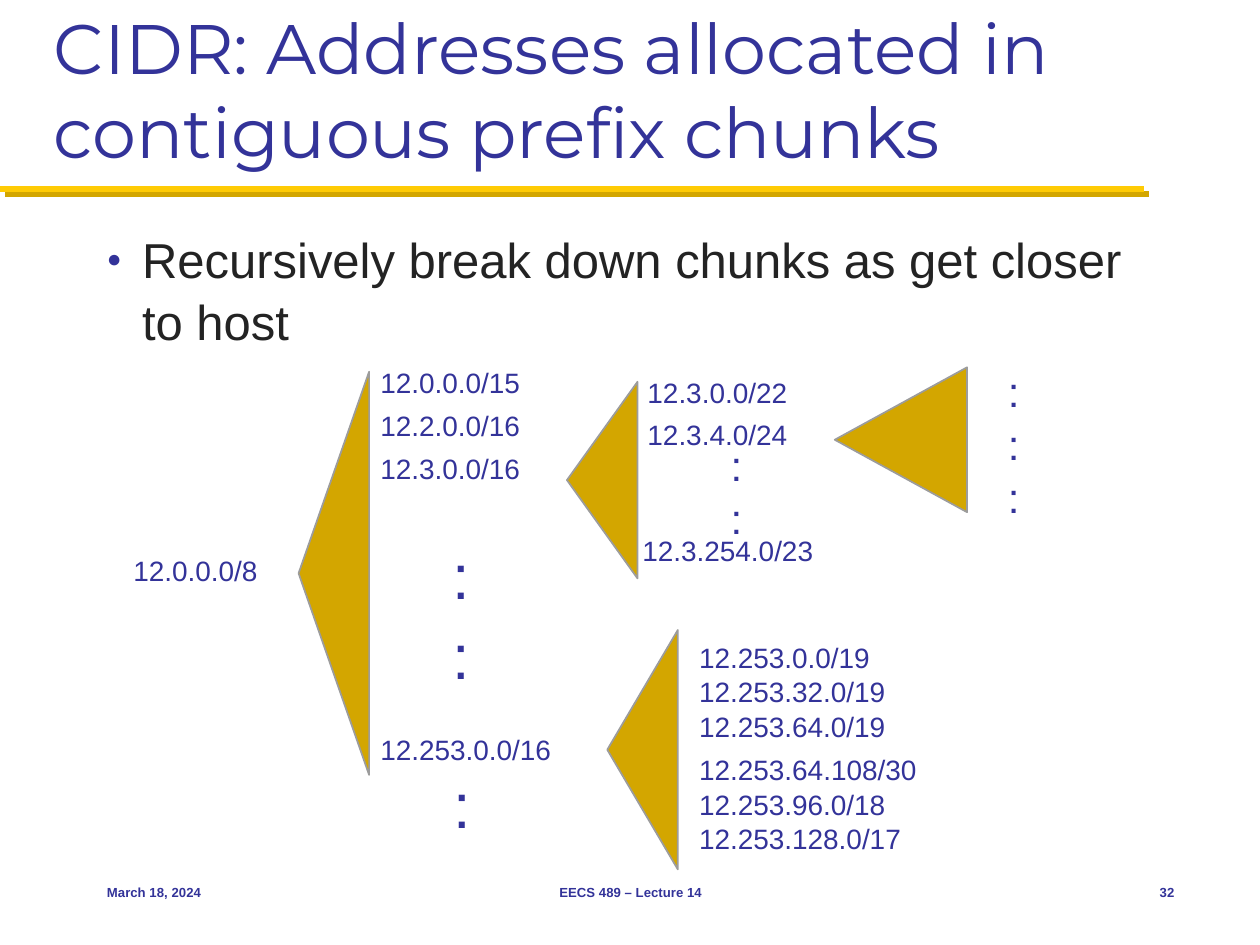
from lxml.etree import SubElement
from pptx import Presentation
from pptx.dml.color import RGBColor
from pptx.enum.shapes import MSO_CONNECTOR, MSO_SHAPE
from pptx.enum.text import MSO_ANCHOR, MSO_AUTO_SIZE, PP_ALIGN
from pptx.oxml.ns import qn
from pptx.util import Inches, Pt

NAVY = RGBColor(0x33, 0x33, 0x99)
INK = RGBColor(0x23, 0x23, 0x23)
GOLD = RGBColor(0xD3, 0xA6, 0x00)
MAIZE = RGBColor(0xFF, 0xCB, 0x05)
GRAY = RGBColor(0x9C, 0x9C, 0x9C)

WIDE, HIGH = 10, 7.5
TITLE = "CIDR: Addresses allocated in contiguous prefix chunks"
POINT = "Recursively break down chunks as get closer to host"

# Left, first top, row step, prefixes
GROUPS = [
    (0.96, 4.33, 0, ["12.0.0.0/8"]),
    (2.92, 2.84, 0.34, ["12.0.0.0/15", "12.2.0.0/16", "12.3.0.0/16"]),
    (2.92, 5.75, 0, ["12.253.0.0/16"]),
    (5.04, 2.92, 0.33, ["12.3.0.0/22", "12.3.4.0/24"]),
    (5, 4.17, 0, ["12.3.254.0/23"]),
    (5.45, 5.02, 0.275, ["12.253.0.0/19", "12.253.32.0/19", "12.253.64.0/19"]),
    (5.45, 5.91, 0.275, ["12.253.64.108/30", "12.253.96.0/18", "12.253.128.0/17"]),
]
# Left, top, width, height, size, number of colons
DOTS = [
    (3.49, 4.18, 0.34, 1.31, 36, 2),
    (3.5, 6, 0.34, 0.71, 36, 1),
    (5.7, 3.42, 0.3, 0.91, 24, 2),
    (7.9, 2.83, 0.3, 1.31, 24, 3),
]
# Centre across, centre down, spread, depth
FANS = [
    (2.65, 4.55, 3.2, 0.56),
    (4.78, 3.81, 1.56, 0.56),
    (5.1, 5.95, 1.9, 0.56),
    (7.15, 3.49, 1.15, 1.05),
]
# Left, width, alignment, words
FOOT = [
    (0.75, 2.08, PP_ALIGN.LEFT, "March 18, 2024"),
    (3.42, 3.17, PP_ALIGN.CENTER, "EECS 489 – Lecture 14"),
    (8.75, 0.67, PP_ALIGN.RIGHT, "32"),
]


def put(slide, text, x, y, w, h, size=16, font="Arial", color=NAVY, bold=False,
        align=PP_ALIGN.LEFT, anchor=MSO_ANCHOR.TOP, wrap=False, grow=False,
        lead=1.05):
    box = slide.shapes.add_textbox(Inches(x), Inches(y), Inches(w), Inches(h))
    frame = box.text_frame
    frame.text = text
    frame.word_wrap = wrap
    frame.vertical_anchor = anchor
    frame.auto_size = (MSO_AUTO_SIZE.SHAPE_TO_FIT_TEXT if grow
                       else MSO_AUTO_SIZE.NONE)
    for para in frame.paragraphs:
        para.alignment = align
        para.line_spacing = lead
        face = para.runs[0].font
        face.name, face.size, face.bold = font, Pt(size), bold
        face.color.rgb = color
    return frame


def add_bullet(para):
    props = para._p.get_or_add_pPr()
    indent = Inches(0.28)
    props.set("marL", str(indent))
    props.set("indent", str(-indent))
    tint = SubElement(props, qn("a:buClr"))
    SubElement(tint, qn("a:srgbClr"), val=str(NAVY))
    SubElement(props, qn("a:buSzPct"), val="50000")
    SubElement(props, qn("a:buFont"), typeface="Arial")
    SubElement(props, qn("a:buChar"), char="●")


def add_rule(slide):
    """Draw the line below the title, with its hard gold shadow."""
    y = Inches(HIGH * 0.2)
    rule = slide.shapes.add_connector(
        MSO_CONNECTOR.STRAIGHT, 0, y, Inches(9.08), y)
    rule.line.color.rgb = MAIZE
    rule.line.width = Pt(3.5)
    effect = SubElement(rule._element.spPr, qn("a:effectLst"))
    shade = SubElement(effect, qn("a:outerShdw"), blurRad="0",
                       dist=str(Pt(4.2)), dir="2700000", algn="ctr",
                       rotWithShape="0")
    SubElement(shade, qn("a:srgbClr"), val=str(GOLD))


def add_fan(slide, x, y, spread, depth):
    """Draw a triangle that points left, centred on x, y."""
    fan = slide.shapes.add_shape(
        MSO_SHAPE.ISOSCELES_TRIANGLE, Inches(x - spread / 2),
        Inches(y - depth / 2), Inches(spread), Inches(depth))
    fan.rotation = 270
    fan.shadow.inherit = False
    fan.fill.solid()
    fan.fill.fore_color.rgb = GOLD
    fan.line.color.rgb = GRAY
    fan.line.width = Pt(1)


def main():
    deck = Presentation()
    deck.slide_width, deck.slide_height = Inches(WIDE), Inches(HIGH)
    slide = deck.slides.add_slide(deck.slide_layouts[6])

    add_rule(slide)
    put(slide, TITLE, 0.33, 0.17, 9.33, 1.25, size=40, font="Montserrat",
        anchor=MSO_ANCHOR.BOTTOM, wrap=True, lead=1)
    body = put(slide, POINT, 0.75, 1.75, 8.67, 4.83, size=28, color=INK, wrap=True)
    add_bullet(body.paragraphs[0])

    for fan in FANS:
        add_fan(slide, *fan)
    for x, top, step, names in GROUPS:
        for row, name in enumerate(names):
            wide = 0.155 * len(name) - 0.1
            put(slide, name, x, top + row * step, wide, 0.44, grow=True)
    for x, y, w, h, size, count in DOTS:
        put(slide, "\n".join(":" * count), x, y, w, h, size=size, grow=True)
    for x, w, align, words in FOOT:
        put(slide, words, x, 6.83, w, 0.5, size=7.5, bold=True, align=align,
            anchor=MSO_ANCHOR.MIDDLE)

    deck.save("out.pptx")


if __name__ == "__main__":
    main()
